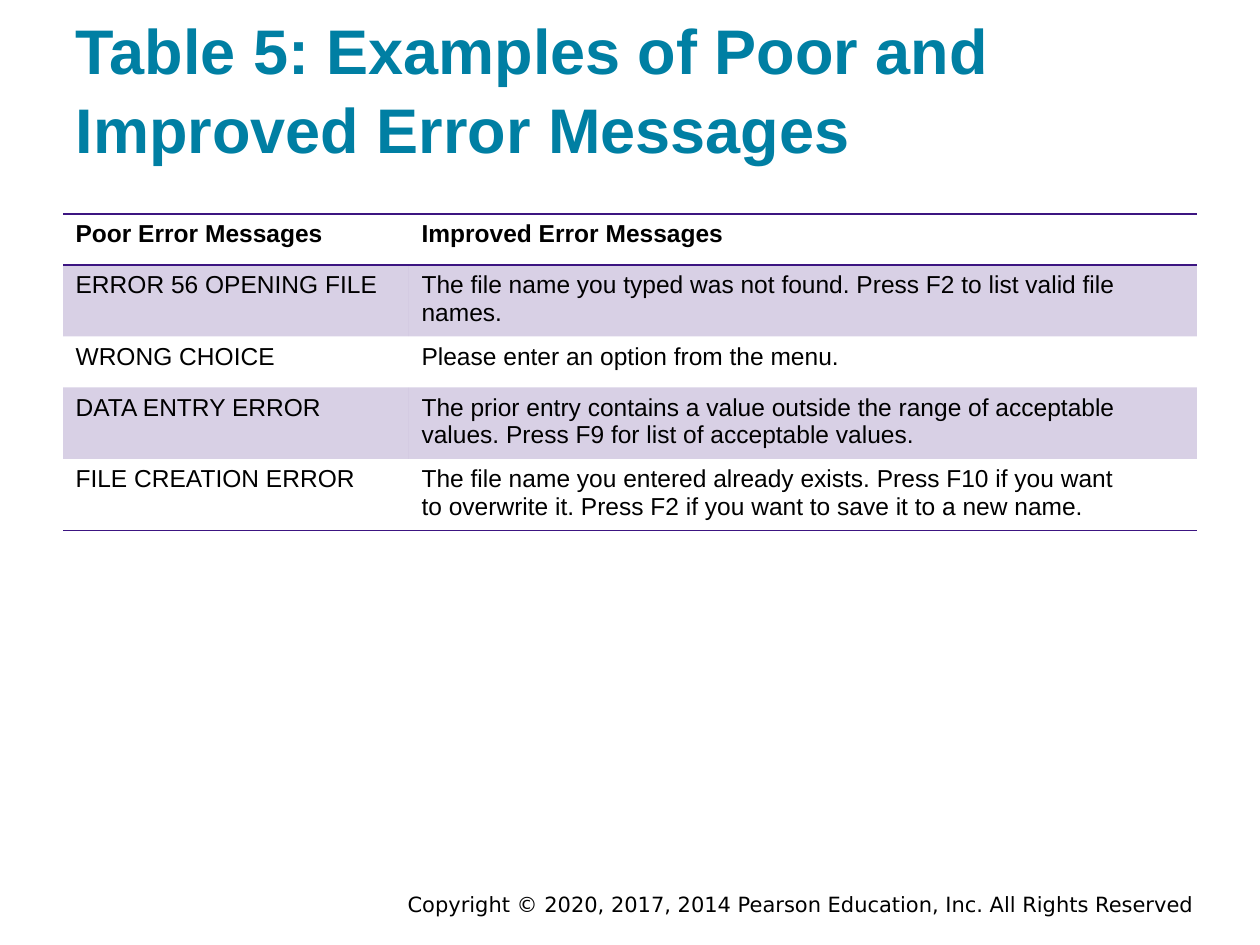
from lxml import etree
from pptx import Presentation
from pptx.dml.color import RGBColor
from pptx.enum.text import MSO_ANCHOR, PP_ALIGN
from pptx.oxml.ns import qn
from pptx.util import Pt

TOP, BOTTOM = MSO_ANCHOR.TOP, MSO_ANCHOR.BOTTOM
LEFT, RIGHT = PP_ALIGN.LEFT, PP_ALIGN.RIGHT
TEAL = RGBColor(0x00, 0x7F, 0xA3)
BLACK = RGBColor(0x00, 0x00, 0x00)
PURPLE = RGBColor(0x3C, 0x15, 0x81)
PLAIN = "{2D5ABB26-0587-4C30-8999-92F81FD0307C}"
SCALE = 914400 / 126

TEXTS = [
    {
        "text": "Copyright © 2020, 2017, 2014 Pearson Education, Inc. All Rights Reserved",
        "box": (220, 886, 987, 28), "pad": (13, 6), "anchor": TOP,
        "para": {"alignment": RIGHT},
        "font": {"name": "DejaVu Sans", "size": Pt(12), "bold": False},
        "color": BLACK,
    },
    {
        "text": "Table 5: Examples of Poor and Improved Error Messages",
        "box": (63, 31, 1134, 148), "pad": (13, 13), "anchor": BOTTOM,
        "para": {"alignment": LEFT, "line_spacing": 1.05},
        "font": {"name": "Arial", "size": Pt(36), "bold": True},
        "color": TEAL,
    },
]
ROWS = [
    ("Poor Error Messages", "Improved Error Messages"),
    ("ERROR 56 OPENING FILE",
     "The file name you typed was not found. Press F2 to list valid file\nnames."),
    ("WRONG CHOICE", "Please enter an option from the menu."),
    ("DATA ENTRY ERROR",
     "The prior entry contains a value outside the range of acceptable\n"
     "values. Press F9 for list of acceptable values."),
    ("FILE CREATION ERROR",
     "The file name you entered already exists. Press F10 if you want\n"
     "to overwrite it. Press F2 if you want to save it to a new name."),
]
COLS = (346, 788)
ORIGIN = (63, 214)
SHORT, TALL = 51, 68
EDGES = {0: ("a:lnT", "a:lnB"), len(ROWS) - 1: ("a:lnB",)}


def px(num):
    return round(num * SCALE)


def apply(item, vals):
    for key, val in vals.items():
        setattr(item, key, val)


def style(para, font, color):
    apply(para.font, font)
    para.font.color.rgb = color


def add_text(slide, spec_text):
    frame = slide.shapes.add_textbox(*map(px, spec_text["box"])).text_frame
    side, edge = map(px, spec_text["pad"])
    apply(frame, {
        "word_wrap": True, "vertical_anchor": spec_text["anchor"],
        "margin_left": side, "margin_right": side,
        "margin_top": edge, "margin_bottom": edge,
        "text": spec_text["text"],
    })
    para = frame.paragraphs[0]
    apply(para, spec_text["para"])
    style(para, spec_text["font"], spec_text["color"])


def tint(cell):
    cell.fill.solid()
    cell.fill.fore_color.rgb = PURPLE
    color = cell._tc.tcPr.find(".//" + qn("a:srgbClr"))
    etree.SubElement(color, qn("a:alpha"), val="20000")


def rule(cell, tags):
    props = cell._tc.get_or_add_tcPr()
    for spot, tag in enumerate(tags):
        line = etree.Element(qn(tag), w=str(Pt(1)))
        fill = etree.SubElement(line, qn("a:solidFill"))
        etree.SubElement(fill, qn("a:srgbClr"), val=str(PURPLE))
        props.insert(spot, line)


def add_grid(slide):
    highs = [TALL if "\n" in row[-1] else SHORT for row in ROWS]
    size = (*ORIGIN, sum(COLS), sum(highs))
    table = slide.shapes.add_table(len(ROWS), len(COLS), *map(px, size)).table
    table._tbl.tblPr.find(qn("a:tableStyleId")).text = PLAIN
    apply(table, {"first_row": False, "horz_banding": False})
    for col, wide in zip(table.columns, COLS):
        col.width = px(wide)
    for num, (row, high) in enumerate(zip(table.rows, highs)):
        row.height = px(high)
        for cell, text in zip(row.cells, ROWS[num]):
            cell.text = text
            for para in cell.text_frame.paragraphs:
                style(para, {"name": "Arial", "size": Pt(14), "bold": num == 0}, BLACK)
            if num % 2:
                tint(cell)
            else:
                cell.fill.background()
            rule(cell, EDGES.get(num, ()))


def main():
    deck = Presentation()
    apply(deck, {"slide_width": px(1260), "slide_height": px(945)})
    slide = deck.slides.add_slide(deck.slide_layouts[6])
    for item in TEXTS:
        add_text(slide, item)
    add_grid(slide)
    deck.save("out.pptx")


if __name__ == "__main__":
    main()
